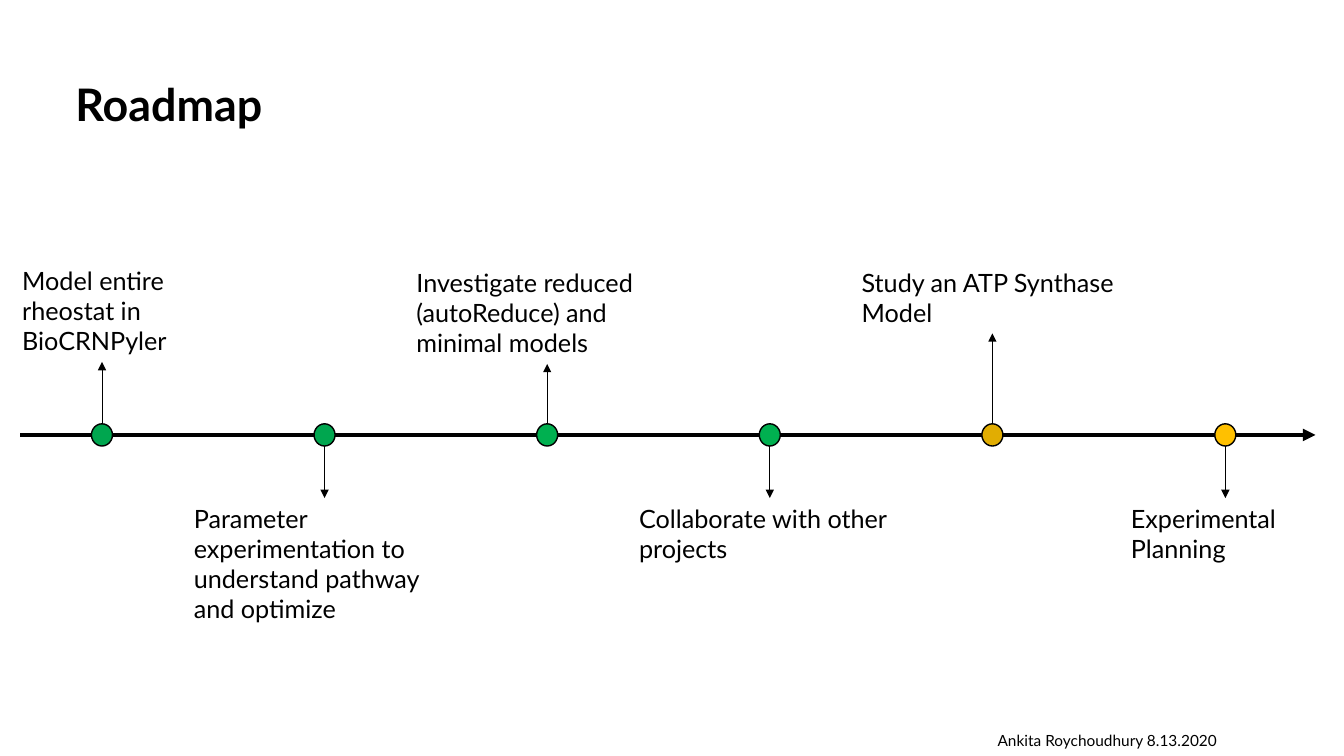
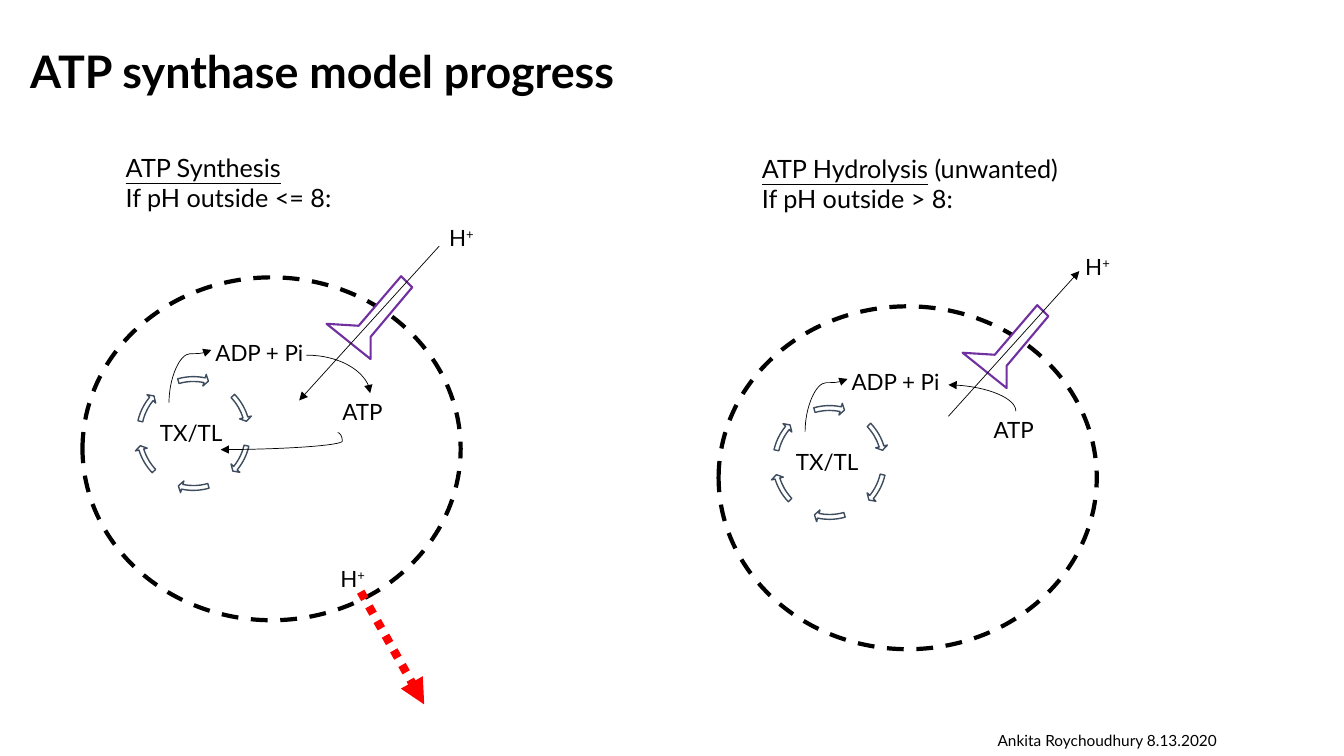
from dataclasses import dataclass
from typing import NamedTuple

from lxml.etree import SubElement
from pptx import Presentation
from pptx.dml.color import RGBColor
from pptx.enum.dml import MSO_LINE
from pptx.enum.shapes import MSO_CONNECTOR, MSO_SHAPE
from pptx.enum.text import MSO_ANCHOR
from pptx.oxml.ns import qn
from pptx.util import Cm, Pt


@dataclass(frozen=True)
class Theme:
    font: str = "Lato"
    ink: str = "000000"
    paper: str = "FFFFFF"
    done: str = "00A64F"
    finished: str = "00B050"
    current: str = "E1AD02"
    planned: str = "FFC000"
    synthase: str = "7030A0"
    cycle: str = "3E4C60"
    leak: str = "FF0000"
    title_size: float = 32
    body_size: float = 18
    species_size: float = 16
    footer_size: float = 11
    thin: float = 0.5
    outline: float = 1
    medium: float = 1.5
    thick: float = 3
    heavy: float = 6


THEME = Theme()


class Point(NamedTuple):
    """A place in centimetres."""
    x: float
    y: float

    def shifted(self, origin: "Point") -> "Point":
        return Point(self.x + origin.x, self.y + origin.y)


class Span(NamedTuple):
    text: str
    underline: bool = False
    superscript: bool = False


class Milestone(NamedTuple):
    x: float
    text: str
    lines: int
    width: float
    color: str
    label_top: float


class Curve(NamedTuple):
    """A curved arrow; turn is its rotation in quarter turns."""
    start: Point
    end: Point
    turn: int
    preset: str
    bend: float | None = None


class Vesicle(NamedTuple):
    origin: Point
    heading: list
    heading_at: Point
    heading_width: float
    atp_at: Point
    atp_width: float
    proton_start: Point
    proton_end: Point
    atp_curve: Curve


AXIS_Y = 10.96
DOT_WIDTH, DOT_HEIGHT = 0.53, 0.56
LABEL_TOP, LABEL_BELOW = 6.6, 12.55
FIRST_X, STEP_X = 2.57, 5.61
MILESTONES = [
    Milestone(FIRST_X, "Model entire rheostat in BioCRNPyler", 3, 4.52, THEME.done, 6.55),
    Milestone(FIRST_X + STEP_X, "Parameter experimentation to understand pathway and optimize",
              4, 7.09, THEME.done, LABEL_BELOW),
    Milestone(FIRST_X + 2 * STEP_X, "Investigate reduced (autoReduce) and minimal models",
              3, 7.09, THEME.finished, LABEL_TOP),
    Milestone(FIRST_X + 3 * STEP_X, "Collaborate with other projects",
              2, 7.09, THEME.finished, LABEL_BELOW),
    Milestone(FIRST_X + 4 * STEP_X, "Study an ATP Synthase Model",
              2, 7.09, THEME.current, LABEL_TOP),
    Milestone(30.88, "Experimental Planning", 2, 5.26, THEME.planned, LABEL_BELOW),
]

PROTON = [[Span("H"), Span("+", superscript=True)]]
SYNTHASE_OUTLINE = [Point(8.03, -0.03), Point(6.96, 1.22), Point(6.15, 1.17),
                    Point(7.26, 2.06), Point(7.26, 1.5), Point(8.31, 0.25)]
# End and start angles of half the cycle, in degrees
CYCLE_ANGLES = [(39.44, 12.95), (101.85, 73.98), (162.88, 136.39)]
EXPRESSION_CURVE = Curve(Point(2.18, 3.16), Point(3.25, 1.83), 1, "curvedConnector3", 0.93)
EXPRESSION_FEED = Curve(Point(6.43, 3.91), Point(3.48, 4.34), 2, "curvedConnector3", -0.04)
SYNTHESIS = Vesicle(
    Point(2.08, 6.99),
    [[Span("ATP Synthesis", underline=True)], [Span("If pH outside <= 8:")]],
    Point(2.92, 3.71), 7.26, Point(6.3, 2.92), 1.9,
    Point(8.99, -0.79), Point(5.46, 3.1),
    Curve(Point(5.64, 1.96), Point(7.25, 2.92), 0, "curvedConnector2"))
HYDROLYSIS = Vesicle(
    Point(18.11, 7.72),
    [[Span("ATP Hydrolysis", underline=True), Span(" (unwanted)")], [Span("If pH outside > 8:")]],
    Point(18.95, 3.73), 8.15, Point(6.68, 2.64), 1.63,
    Point(5.79, 2.77), Point(9.09, -0.89),
    Curve(Point(7.49, 2.64), Point(5.79, 1.98), 3, "curvedConnector2"))


def add_text(slide, content, at: Point, width: float, height: float, *,
             size: float = THEME.body_size, bold: bool = False, wrap: bool = True,
             anchor=MSO_ANCHOR.TOP, line_spacing: float | None = None) -> None:
    """Write a string, or a list of paragraphs made of spans."""
    paragraphs = [[Span(content)]] if isinstance(content, str) else content
    frame = slide.shapes.add_textbox(Cm(at.x), Cm(at.y), Cm(width), Cm(height)).text_frame
    frame.word_wrap = wrap
    frame.vertical_anchor = anchor
    for index, spans in enumerate(paragraphs):
        paragraph = frame.paragraphs[0] if index == 0 else frame.add_paragraph()
        if line_spacing:
            paragraph.line_spacing = line_spacing
        for span in spans:
            run = paragraph.add_run()
            run.text = span.text
            run.font.name = THEME.font
            run.font.size = Pt(size)
            run.font.bold = bold
            run.font.underline = span.underline
            run.font.color.rgb = RGBColor.from_string(THEME.ink)
            if span.superscript:
                run._r.get_or_add_rPr().set("baseline", "30000")


def style_shape(shape, fill: str | None, line: str, weight: float) -> None:
    shape.shadow.inherit = False
    if fill:
        shape.fill.solid()
        shape.fill.fore_color.rgb = RGBColor.from_string(fill)
    else:
        shape.fill.background()
    shape.line.color.rgb = RGBColor.from_string(line)
    shape.line.width = Pt(weight)


def add_preset(slide, preset, at: Point, width: float, height: float, *,
               fill: str | None = None, line: str = THEME.ink, weight: float = THEME.outline):
    shape = slide.shapes.add_shape(preset, Cm(at.x), Cm(at.y), Cm(width), Cm(height))
    style_shape(shape, fill, line, weight)
    return shape


def add_arrow(slide, start: Point, end: Point, *, color: str = THEME.ink,
              weight: float = THEME.thin, dash=None, kind=MSO_CONNECTOR.STRAIGHT):
    arrow = slide.shapes.add_connector(kind, Cm(start.x), Cm(start.y), Cm(end.x), Cm(end.y))
    arrow.line.color.rgb = RGBColor.from_string(color)
    arrow.line.width = Pt(weight)
    if dash:
        arrow.line.dash_style = dash
    properties = arrow._element.spPr
    SubElement(properties.find(qn("a:ln")), qn("a:tailEnd"), type="triangle")
    SubElement(properties, qn("a:effectLst"))
    return arrow


def add_curve(slide, curve: Curve, origin: Point) -> None:
    """Turn the ends back about their middle, then rotate the whole connector."""
    start, end = curve.start.shifted(origin), curve.end.shifted(origin)
    middle = Point((start.x + end.x) / 2, (start.y + end.y) / 2)
    dx, dy = start.x - middle.x, start.y - middle.y
    for _ in range(curve.turn):
        dx, dy = dy, -dx
    arrow = add_arrow(slide, Point(dx, dy).shifted(middle), Point(-dx, -dy).shifted(middle),
                      kind=MSO_CONNECTOR.CURVE)
    properties = arrow._element.spPr
    properties.find(qn("a:xfrm")).set("rot", str(curve.turn * 90 * 60000))
    geometry = properties.find(qn("a:prstGeom"))
    geometry.set("prst", curve.preset)
    if curve.bend is not None:
        SubElement(geometry.find(qn("a:avLst")), qn("a:gd"), name="adj1",
                   fmla=f"val {round(curve.bend * 100000)}")


def add_page(deck, title: str, title_at: Point):
    slide = deck.slides.add_slide(deck.slide_layouts[6])
    add_text(slide, title, title_at, 29.21, 3.68, size=THEME.title_size, bold=True,
             anchor=MSO_ANCHOR.MIDDLE, line_spacing=0.9)
    add_text(slide, "Ankita Roychoudhury 8.13.2020", Point(24.89, 18.31), 6.07, 0.74,
             size=THEME.footer_size, wrap=False)
    return slide


def add_milestone(slide, milestone: Milestone) -> None:
    x, top = milestone.x, milestone.label_top
    height = 0.77 * milestone.lines + 0.26
    above = top < AXIS_Y
    add_text(slide, milestone.text, Point(x - milestone.width / 2, top), milestone.width, height)
    add_preset(slide, MSO_SHAPE.OVAL, Point(x - DOT_WIDTH / 2, AXIS_Y - DOT_HEIGHT / 2),
               DOT_WIDTH, DOT_HEIGHT, fill=milestone.color)
    edge = AXIS_Y + (-DOT_HEIGHT if above else DOT_HEIGHT) / 2
    add_arrow(slide, Point(x, edge), Point(x, top + height if above else top))


def add_synthase(slide, origin: Point) -> None:
    corners = [(Cm(p.x), Cm(p.y)) for p in (q.shifted(origin) for q in SYNTHASE_OUTLINE)]
    builder = slide.shapes.build_freeform(*corners[0])
    builder.add_line_segments(corners[1:], close=True)
    style_shape(builder.convert_to_shape(), THEME.paper, THEME.synthase, THEME.medium)


def add_cycle(slide, at: Point) -> None:
    for half_turn in (0, 180):
        for end, start in CYCLE_ANGLES:
            arrow = add_preset(slide, MSO_SHAPE.CIRCULAR_ARROW, at, 3.05, 3.05,
                               fill=THEME.paper, line=THEME.cycle)
            # Angles are stored in 1/60000 degree, adjustments in 1/100000
            values = (0.04, 2.5, (end + half_turn) * 0.6, (start + half_turn) * 0.6, 0.05)
            for index, value in enumerate(values):
                arrow.adjustments[index] = value


def add_vesicle(slide, vesicle: Vesicle) -> None:
    origin = vesicle.origin
    add_text(slide, vesicle.heading, vesicle.heading_at, vesicle.heading_width, 1.8)
    membrane = add_preset(slide, MSO_SHAPE.OVAL, origin, 9.53, 8.64, weight=THEME.thick)
    membrane.line.dash_style = MSO_LINE.DASH
    add_synthase(slide, origin)
    add_cycle(slide, Point(1.27, 2.41).shifted(origin))
    for species, at, width in (("ADP + Pi", Point(3.1, 1.42), 3.33),
                               ("ATP", vesicle.atp_at, vesicle.atp_width),
                               (PROTON, Point(8.99, -1.47), 1.52),
                               ("TX/TL", Point(1.7, 3.45), 2.82)):
        add_text(slide, species, at.shifted(origin), width, 0.94, size=THEME.species_size)
    add_arrow(slide, vesicle.proton_start.shifted(origin), vesicle.proton_end.shifted(origin))
    for curve in (EXPRESSION_CURVE, vesicle.atp_curve):
        add_curve(slide, curve, origin)


def build_roadmap(deck) -> None:
    slide = add_page(deck, "Roadmap", Point(1.65, 0.86))
    add_arrow(slide, Point(0.51, AXIS_Y), Point(33.15, AXIS_Y), weight=THEME.thick)
    for milestone in MILESTONES:
        add_milestone(slide, milestone)


def build_synthase_model(deck) -> None:
    slide = add_page(deck, "ATP synthase model progress", Point(0.51, 0.03))
    for vesicle in (SYNTHESIS, HYDROLYSIS):
        add_vesicle(slide, vesicle)
    add_curve(slide, EXPRESSION_FEED, SYNTHESIS.origin)
    add_arrow(slide, Point(9.09, 14.91), Point(10.69, 17.75), color=THEME.leak,
              weight=THEME.heavy, dash=MSO_LINE.ROUND_DOT)
    add_text(slide, PROTON, Point(8.33, 14.12), 1.52, 0.94, size=THEME.species_size)


def main() -> None:
    deck = Presentation()
    deck.slide_width, deck.slide_height = Cm(33.87), Cm(19.05)
    build_roadmap(deck)
    build_synthase_model(deck)
    deck.save("out.pptx")


if __name__ == "__main__":
    main()
